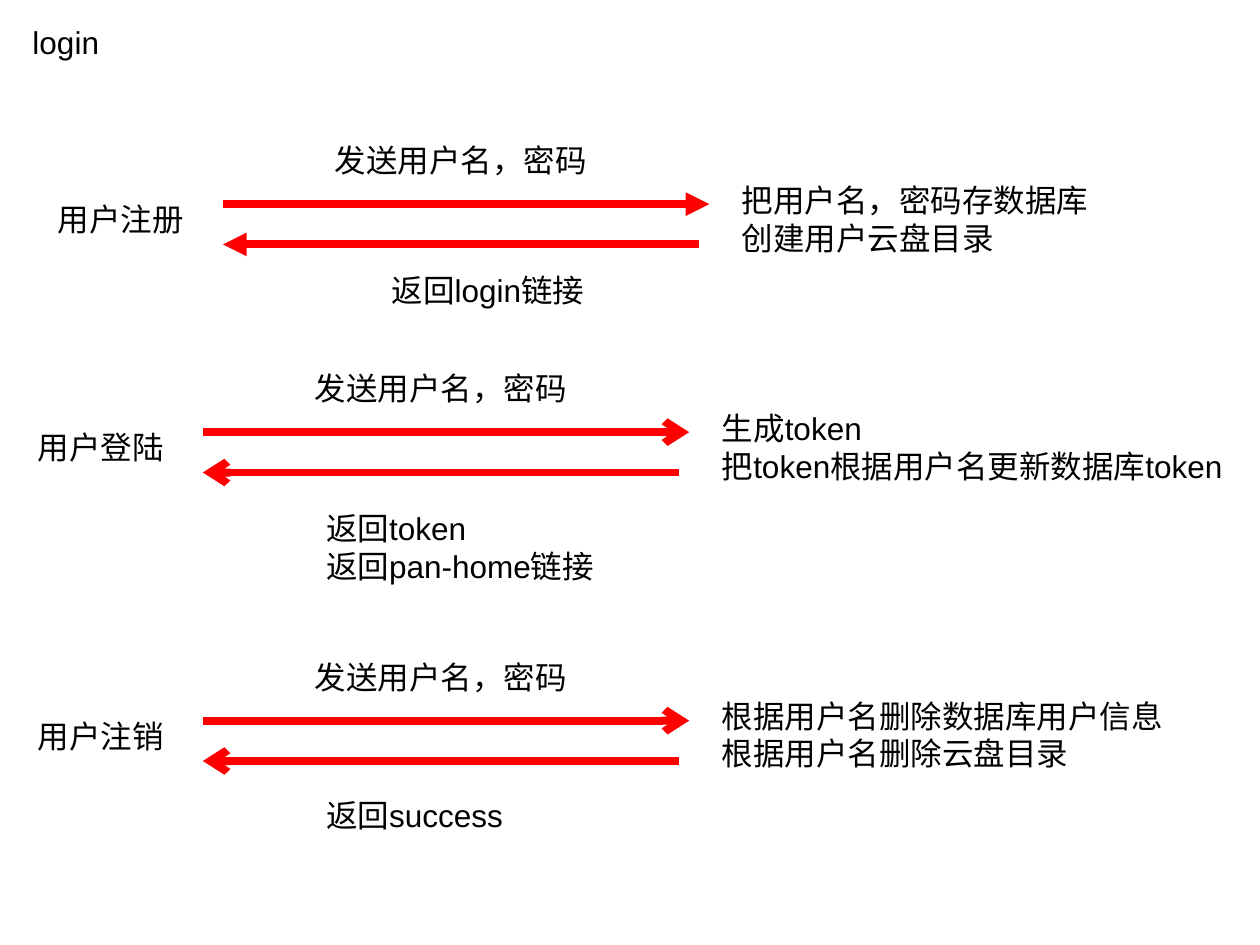
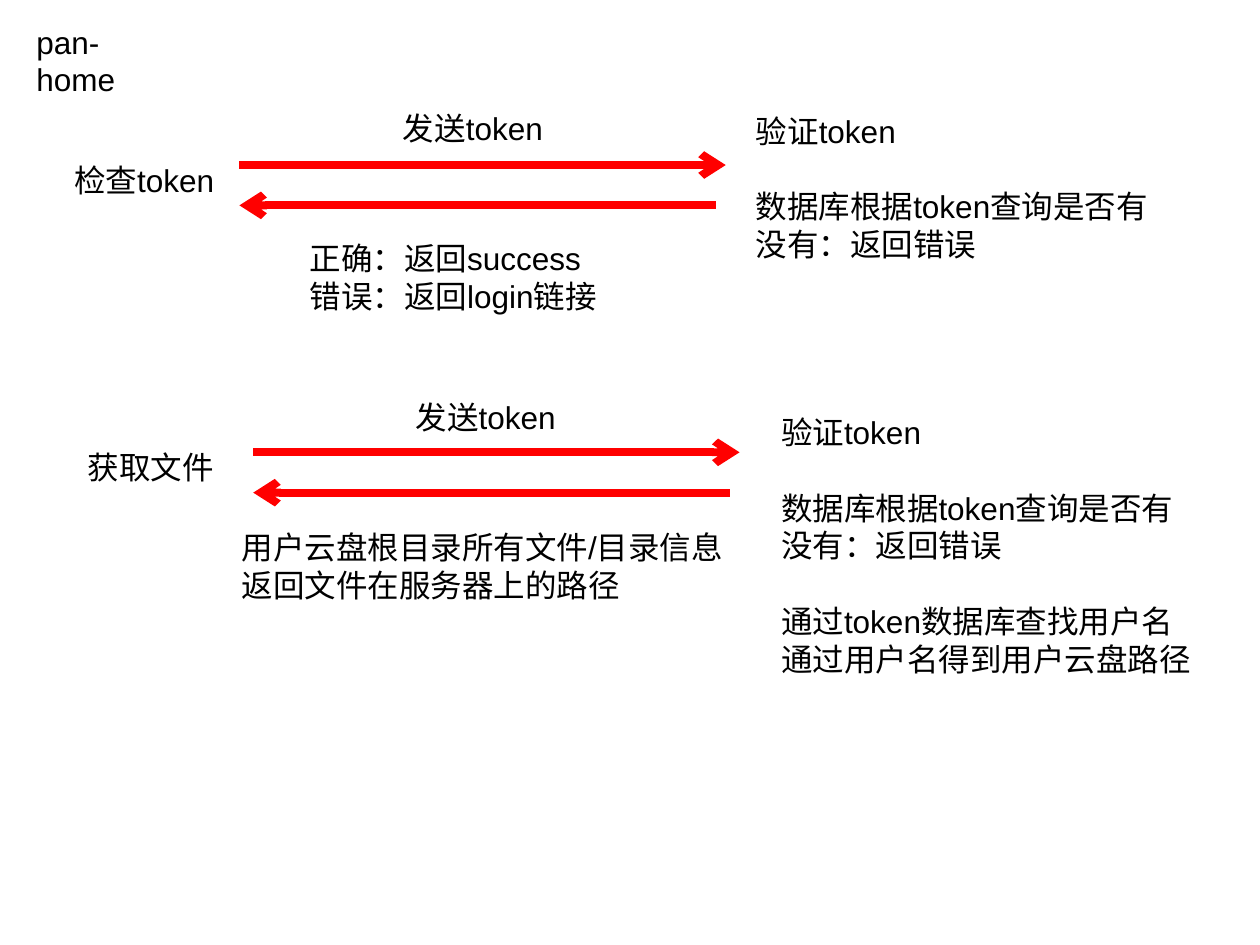
from lxml import etree
from pptx import Presentation
from pptx.dml.color import RGBColor
from pptx.enum.shapes import MSO_CONNECTOR
from pptx.enum.text import MSO_AUTO_SIZE
from pptx.oxml.ns import qn
from pptx.util import Inches, Pt

STRAIGHT = MSO_CONNECTOR.STRAIGHT
GROW = MSO_AUTO_SIZE.SHAPE_TO_FIT_TEXT
BLACK = RGBColor(0x00, 0x00, 0x00)
RED = RGBColor(0xFF, 0x00, 0x00)
FONT = "Arial"
LINE_HEIGHT = 0.3
REQUEST_LENGTH = 3.86
REPLY_LENGTH = 3.78
REPLY_DROP = 0.32

# Each exchange: start of its request arrow, arrowhead, step name and width,
# then request, server work and reply as (text, left, top, width),
# with left and top measured from the start of the request arrow.
SEND_LOGIN = ("发送用户名，密码", 0.79, -0.55, 2.2)
PAGES = [
    ("login", 0.16, 0.73, [
        (1.77, 1.62, "triangle", "用户注册", 1.2, [
            SEND_LOGIN,
            ("把用户名，密码存数据库\n创建用户云盘目录", 4.02, -0.23, 2.95),
            ("返回login链接", 1.24, 0.48, 1.85)]),
        (1.61, 3.43, "arrow", "用户登陆", 1.2, [
            SEND_LOGIN,
            ("生成token\n把token根据用户名更新数据库token", 4.02, -0.23, 4.35),
            ("返回token\n返回pan-home链接", 0.88, 0.56, 2.44)]),
        (1.61, 5.72, "arrow", "用户注销", 1.2, [
            SEND_LOGIN,
            ("根据用户名删除数据库用户信息\n根据用户名删除云盘目录", 4.02, -0.24, 3.7),
            ("返回success", 0.88, 0.55, 1.66)]),
    ]),
    ("pan-home", 0.19, 1.32, [
        (1.9, 1.31, "arrow", "检查token", 1.37, [
            ("发送token", 1.2, -0.49, 1.37),
            ("验证token\n\n数据库根据token查询是否有\n没有：返回错误", 4.0, -0.47, 3.43),
            ("正确：返回success\n错误：返回login链接", 0.46, 0.54, 2.6)]),
        (2.01, 3.59, "arrow", "获取文件", 1.2, [
            ("发送token", 1.19, -0.48, 1.37),
            ("验证token\n\n数据库根据token查询是否有\n没有：返回错误\n\n"
             "通过token数据库查找用户名\n通过用户名得到用户云盘路径", 4.09, -0.36, 3.45),
            ("用户云盘根目录所有文件/目录信息\n返回文件在服务器上的路径", -0.19, 0.55, 4.14)]),
    ]),
]


def add_text(slide, text, left, top, width, size=18, color=BLACK):
    """Add one paragraph per line; an empty line becomes space before the next."""
    height = 0.1 + LINE_HEIGHT * (text.count("\n") + 1)
    box = slide.shapes.add_textbox(Inches(left), Inches(top), Inches(width), Inches(height))
    frame = box.text_frame
    frame.word_wrap = False
    frame.auto_size = GROW
    paragraph = frame.paragraphs[0]
    for group_index, group in enumerate(text.split("\n\n")):
        for line_index, line in enumerate(group.split("\n")):
            if group_index or line_index:
                paragraph = frame.add_paragraph()
            if group_index and line_index == 0:
                paragraph.space_before = Pt(21.5)
            run = paragraph.add_run()
            run.text = line
            run.font.name = FONT
            run.font.size = Pt(size)
            run.font.color.rgb = color


def add_arrow(slide, start, end, y, head):
    arrow = slide.shapes.add_connector(STRAIGHT, Inches(start), Inches(y), Inches(end), Inches(y))
    arrow.line.color.rgb = RED
    arrow.line.width = Pt(4.5)
    etree.SubElement(arrow.line._get_or_add_ln(), qn("a:tailEnd"), type=head)
    etree.SubElement(arrow._element.spPr, qn("a:effectLst"))


prs = Presentation()
prs.slide_width = Inches(10)
prs.slide_height = Inches(7.5)

for title, title_left, title_width, exchanges in PAGES:
    slide = prs.slides.add_slide(prs.slide_layouts[6])
    add_text(slide, title, title_left, 0.13, title_width)
    for x, y, head, step, step_width, messages in exchanges:
        add_text(slide, step, x - 1.41, y - 0.08, step_width)
        add_arrow(slide, x, x + REQUEST_LENGTH, y, head)
        add_arrow(slide, x + REPLY_LENGTH, x, y + REPLY_DROP, head)
        for text, dx, dy, width in messages:
            add_text(slide, text, x + dx, y + dy, width)

prs.save("out.pptx")
